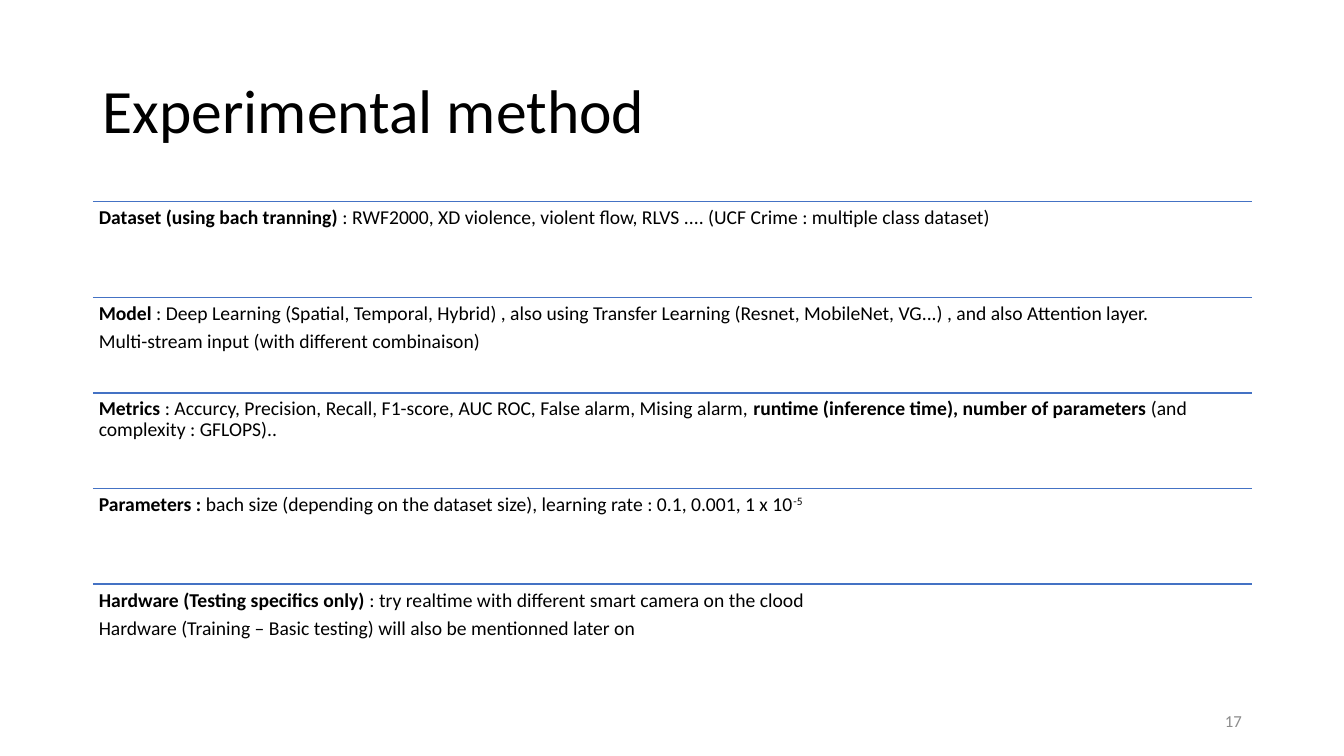
from dataclasses import dataclass

from lxml import etree
from pptx import Presentation
from pptx import util as u
from pptx.dml import color
from pptx.enum import shapes, text
from pptx.oxml import ns


@dataclass(frozen=True)
class Theme:
    font: str = "Calibri"
    ink: str = "000000"
    rule: str = "4472C4"
    muted: str = "8C8C8C"
    title: int = 44
    body: int = 14
    number: int = 12


theme = Theme()
LEFT, WIDTH = 2.34, 29.21
ROWS_TOP, ROW_HEIGHT = 5.08, 2.41
PLAIN, BOLD, SUPER = "plain", "bold", "super"

# One entry per row; each row holds paragraphs made of (text, style) runs.
rows = [
    [[("Dataset (using bach tranning)", BOLD),
      (" : RWF2000, XD violence, violent flow, RLVS .... (UCF Crime : multiple class dataset)", PLAIN)]],
    [[("Model", BOLD),
      (" : Deep Learning (Spatial, Temporal, Hybrid) , also using Transfer Learning "
       "(Resnet, MobileNet, VG...) , and also Attention layer.", PLAIN)],
     [("Multi-stream input (with different combinaison)", PLAIN)]],
    [[("Metrics", BOLD),
      (" : Accurcy, Precision, Recall, F1-score, AUC ROC, False alarm, Mising alarm, ", PLAIN),
      ("runtime (inference time), number of parameters ", BOLD),
      ("(and complexity : GFLOPS)..", PLAIN)]],
    [[("Parameters : ", BOLD),
      ("bach size (depending on the dataset size), learning rate : 0.1, 0.001, 1 x 10", PLAIN),
      ("-5", SUPER)]],
    [[("Hardware (Testing specifics only) ", BOLD),
      (": try realtime with different smart camera on the clood", PLAIN)],
     [("Hardware (Training – Basic testing) will also be mentionned later on", PLAIN)]],
]


def add_box(left, top, width, height, anchor):
    """Add a wrapping text box and return its text frame."""
    sp = s.shapes.add_textbox(u.Cm(left), u.Cm(top), u.Cm(width), u.Cm(height))
    tf = sp.text_frame
    tf.word_wrap = True
    tf.vertical_anchor = anchor
    return tf


def add_run(p, words, size, rgb, style=PLAIN):
    r = p.add_run()
    r.text = words
    r.font.name = theme.font
    r.font.size = u.Pt(size)
    r.font.bold = style == BOLD
    r.font.color.rgb = color.RGBColor.from_string(rgb)
    if style == SUPER:
        r._r.get_or_add_rPr().set("baseline", "30000")


prs = Presentation()
prs.slide_width, prs.slide_height = u.Cm(33.87), u.Cm(19.05)
s = prs.slides.add_slide(prs.slide_layouts[6])

# Title
p = add_box(LEFT, 1.02, WIDTH, 3.68, text.MSO_ANCHOR.MIDDLE).paragraphs[0]
p.line_spacing = 0.9
add_run(p, "Experimental method", theme.title, theme.ink)

# Ruled rows
for i, paragraphs in enumerate(rows):
    top = ROWS_TOP + i * ROW_HEIGHT
    rule = s.shapes.add_connector(shapes.MSO_CONNECTOR.STRAIGHT, u.Cm(LEFT), u.Cm(top),
                                  u.Cm(LEFT + WIDTH), u.Cm(top))
    rule.line.color.rgb = color.RGBColor.from_string(theme.rule)
    rule.line.width = u.Pt(1)
    etree.SubElement(rule._element.spPr, ns.qn("a:effectLst"))

    tf = add_box(LEFT, top, WIDTH, ROW_HEIGHT, text.MSO_ANCHOR.TOP)
    tf.margin_left = tf.margin_right = tf.margin_top = tf.margin_bottom = u.Cm(0.15)
    for j, runs in enumerate(paragraphs):
        p = tf.add_paragraph() if j else tf.paragraphs[0]
        p.line_spacing = 0.9
        p.space_after = u.Pt(0.35 * theme.body)
        for words, style in runs:
            add_run(p, words, theme.body, theme.ink, style)

# Slide number
p = add_box(23.93, 17.65, 7.62, 1.02, text.MSO_ANCHOR.MIDDLE).paragraphs[0]
p.alignment = text.PP_ALIGN.RIGHT
add_run(p, "17", theme.number, theme.muted)

prs.save("out.pptx")
